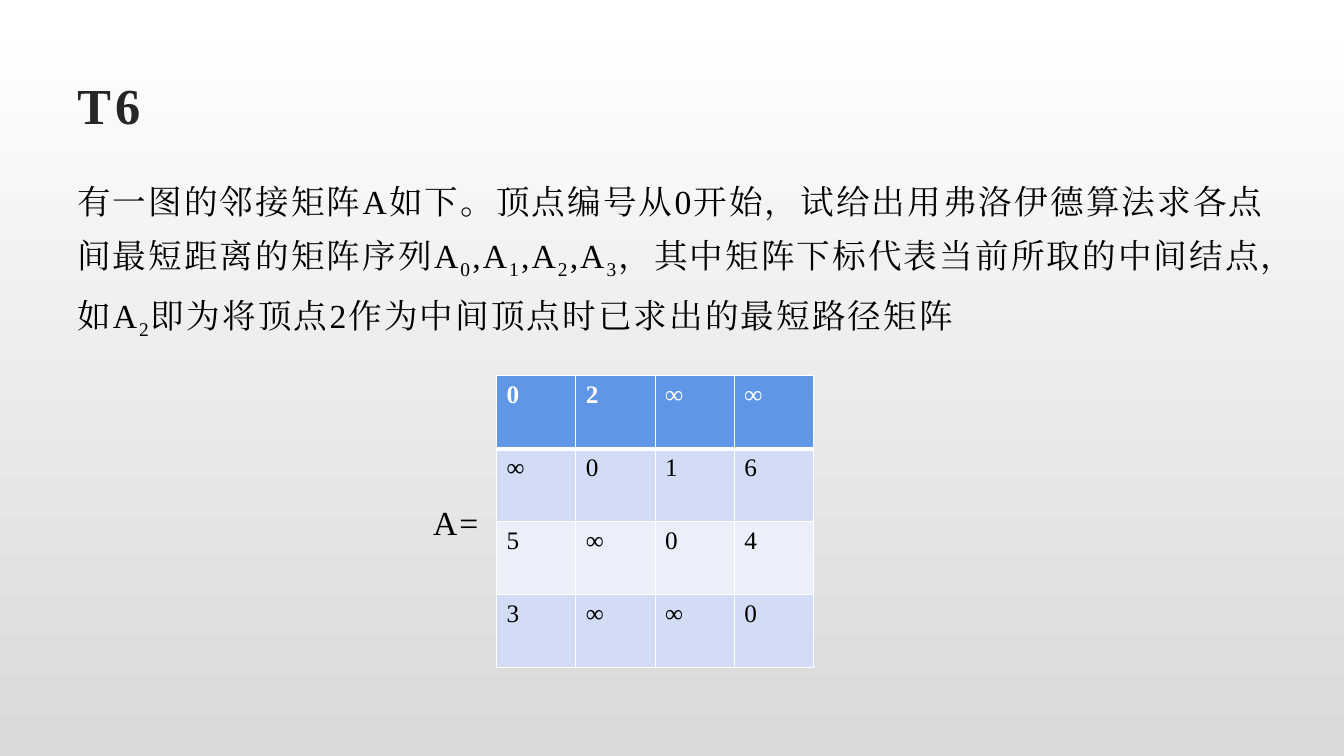
from lxml.etree import SubElement
from pptx import Presentation
from pptx.dml.color import RGBColor
from pptx.enum.text import MSO_ANCHOR as Anchor, PP_ALIGN as Align
from pptx.oxml.ns import qn
from pptx.util import Pt

EMU_PER_PX = 9525
FONT = "Times New Roman"
TITLE_BOX = (64, 62, 1152, 74)
QUESTION_BOX = (64, 156, 1152, 180)
MATRIX_BOX = (473, 358, 302, 278)
LABEL_WIDTH, LABEL_GAP = 90, 8

# Every second piece is a subscript.
QUESTION = [
    "有一图的邻接矩阵A如下。顶点编号从0开始，试给出用弗洛伊德算法求各点间最短距离的矩阵序列A",
    "0", ",A", "1", ",A", "2", ",A", "3",
    "，其中矩阵下标代表当前所取的中间结点，如A", "2",
    "即为将顶点2作为中间顶点时已求出的最短路径矩阵",
]
MATRIX = ["02∞∞", "∞016", "5∞04", "3∞∞0"]
ROW_FILLS = ["6096E6", "D2DDF5", "EAEFFA", "D2DDF5"]


def px(length):
    return length * EMU_PER_PX


def rgb(code):
    return RGBColor.from_string(code)


def add_run(paragraph, text, color="000000", spacing=0, subscript=False, **font_values):
    run = paragraph.add_run()
    run.text = text
    for name, value in {"name": FONT, **font_values}.items():
        setattr(run.font, name, value)
    run.font.color.rgb = rgb(color)
    properties = run.font._element
    SubElement(properties, qn("a:ea"), typeface=FONT)
    if spacing:
        properties.set("spc", str(spacing))
    if subscript:
        properties.set("baseline", "-25000")


def set_background(slide):
    fill = slide.background.fill
    fill.gradient()
    fill.gradient_angle = 270
    for stop, color, position in zip(fill.gradient_stops, ("FFFFFF", "D9D9D9"), (0, 1)):
        stop.color.rgb = rgb(color)
        stop.position = position


def place_title(slide, box):
    title = slide.shapes.title
    for name, length in zip(("left", "top", "width", "height"), box):
        setattr(title, name, px(length))
    title.text_frame.vertical_anchor = Anchor.MIDDLE
    paragraph = title.text_frame.paragraphs[0]
    paragraph.alignment = Align.LEFT
    add_run(paragraph, "T6", "262626", 300, size=Pt(36), bold=True)


def add_text_box(slide, box, anchor=Anchor.TOP, **paragraph_values):
    """Add an empty wrapping text box and return its first paragraph."""
    frame = slide.shapes.add_textbox(*map(px, box)).text_frame
    frame.word_wrap = True
    frame.vertical_anchor = anchor
    paragraph = frame.paragraphs[0]
    for name, value in paragraph_values.items():
        setattr(paragraph, name, value)
    return paragraph


def add_question(slide, box):
    paragraph = add_text_box(slide, box, line_spacing=1.3)
    for index, piece in enumerate(QUESTION):
        add_run(paragraph, piece, spacing=150, subscript=index % 2 == 1, size=Pt(24))


def set_borders(cell, widths):
    """Draw white borders with the given widths in points."""
    for side, width in widths.items():
        line = SubElement(cell._tc.get_or_add_tcPr(), qn(f"a:ln{side}"), w=str(Pt(width)))
        SubElement(SubElement(line, qn("a:solidFill")), qn("a:srgbClr"), val="FFFFFF")


def add_matrix(slide, box):
    left, top, width, height = box
    label_box = (left - LABEL_GAP - LABEL_WIDTH, top, LABEL_WIDTH, height)
    label = add_text_box(slide, label_box, Anchor.MIDDLE, alignment=Align.RIGHT)
    add_run(label, "A=", spacing=150, size=Pt(24))

    size = len(MATRIX)
    table = slide.shapes.add_table(size, size, *map(px, box)).table
    for column in table.columns:
        column.width = px(width) // size
    for row_index, (row, values, fill) in enumerate(zip(table.rows, MATRIX, ROW_FILLS)):
        row.height = px(height) // size
        header = row_index == 0
        for cell, value in zip(row.cells, values):
            set_borders(cell, {"L": 1, "R": 1, "T": 3 if row_index == 1 else 1,
                               "B": 3 if header else 1})
            cell.fill.solid()
            cell.fill.fore_color.rgb = rgb(fill)
            add_run(cell.text_frame.paragraphs[0], value,
                    "FFFFFF" if header else "000000", size=Pt(18), bold=header)


def main():
    presentation = Presentation()
    presentation.slide_width, presentation.slide_height = px(1280), px(720)
    slide = presentation.slides.add_slide(presentation.slide_layouts[5])
    set_background(slide)
    place_title(slide, TITLE_BOX)
    add_question(slide, QUESTION_BOX)
    add_matrix(slide, MATRIX_BOX)
    presentation.save("out.pptx")


if __name__ == "__main__":
    main()
